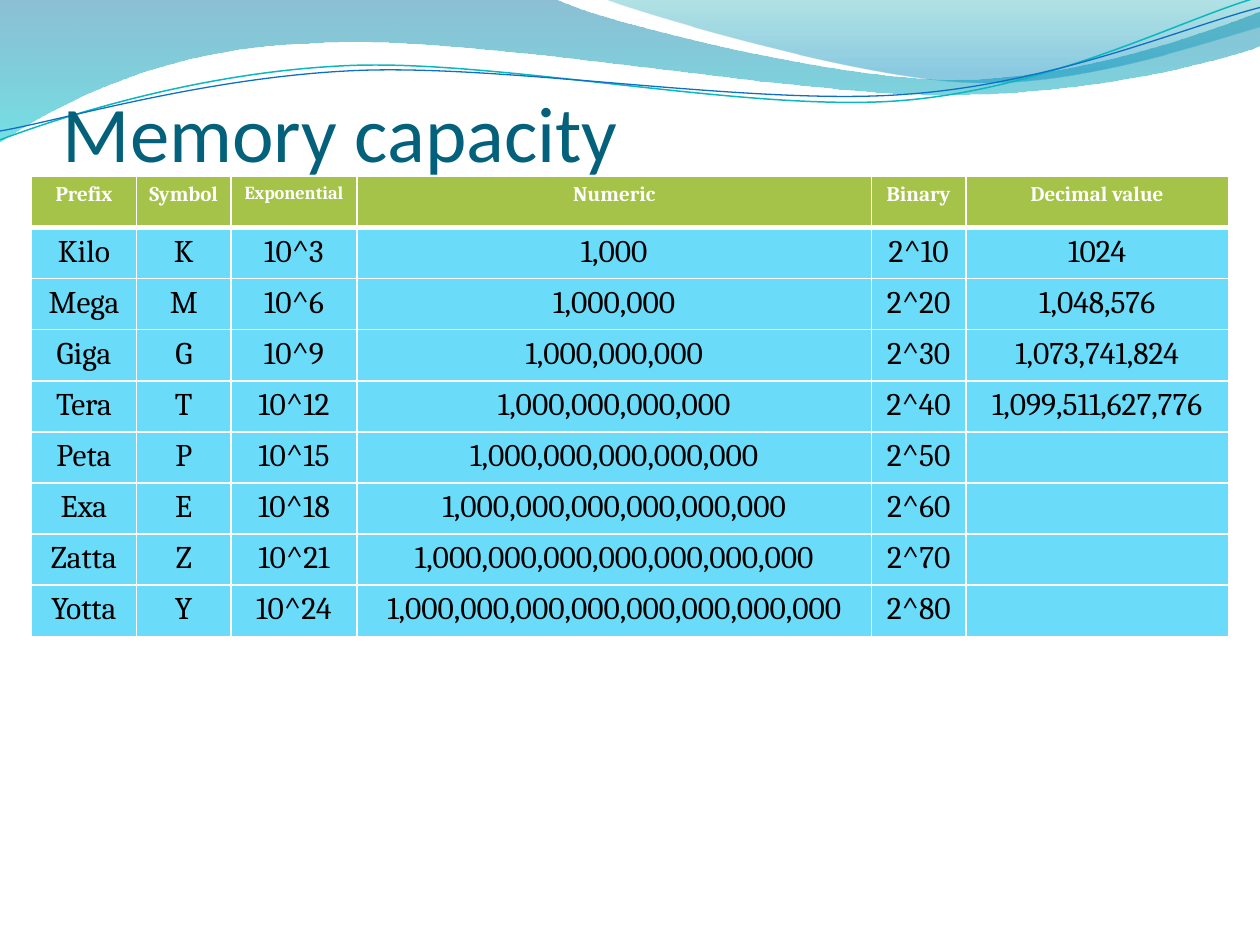
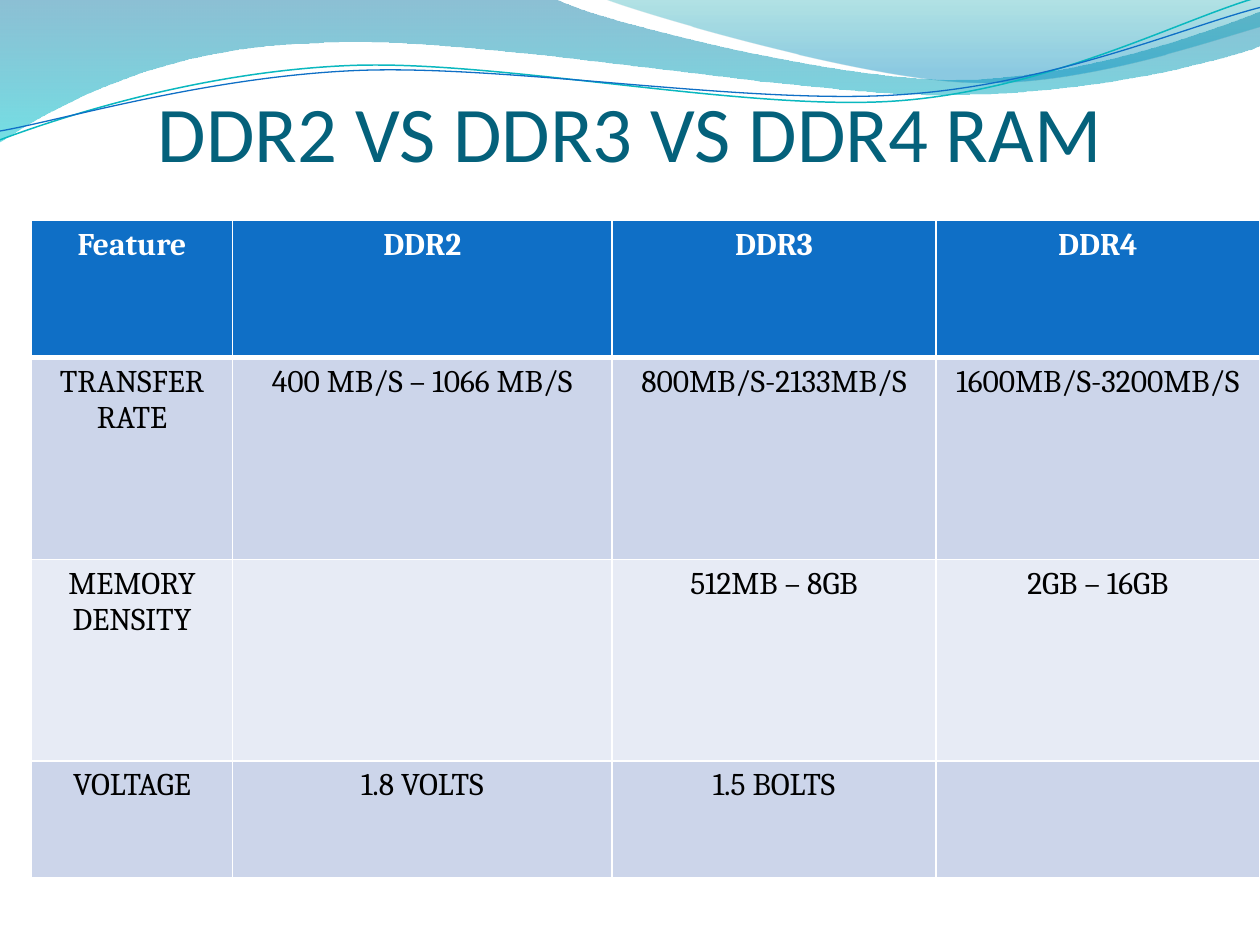
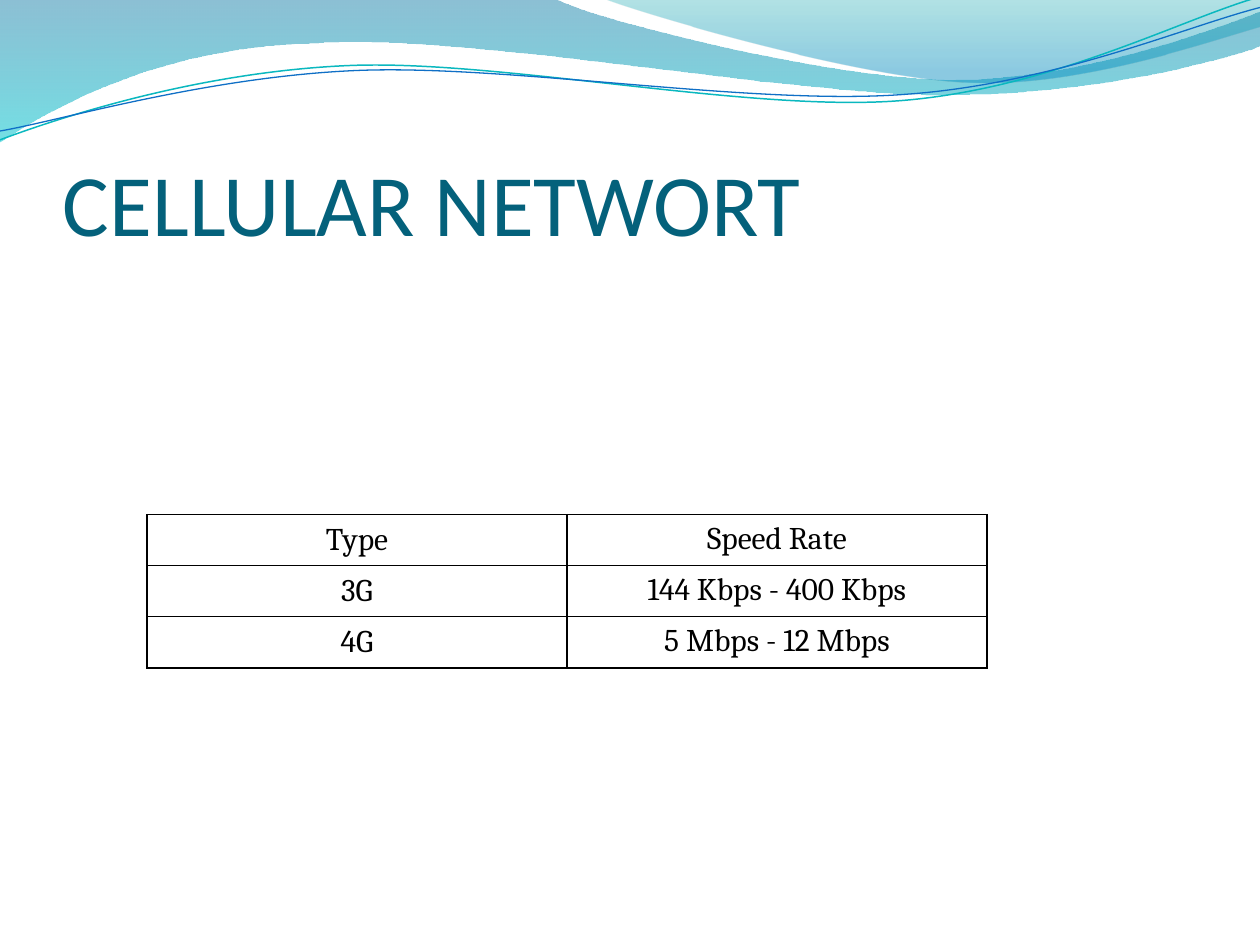
"""Build three slides with wave bands, titles and tables on memory and network speeds."""
from dataclasses import dataclass
from math import cos, radians, sin

from lxml.etree import SubElement
from pptx import Presentation
from pptx.dml.color import RGBColor as Color
from pptx.enum.text import MSO_ANCHOR as Anchor, PP_ALIGN as Align
from pptx.oxml.ns import qn
from pptx.util import Inches, Pt


@dataclass(frozen=True)
class Theme:
    title_font: str = "Calibri"
    body_font: str = "Cambria"
    title_color: str = "04617B"
    white: str = "FFFFFF"
    black: str = "000000"
    blue: str = "0F6FC6"
    teal: str = "0AB8BF"
    green: str = "A5C249"
    sky: str = "6BDBFA"
    band_dark: str = "CCD5EA"
    band_light: str = "E7EBF5"
    title_size: float = 45
    large_title_size: float = 50
    body_size: float = 18
    header_size: float = 12
    small_header_size: float = 10.5
    border: float = 1
    header_border: float = 3


theme = Theme()


def write_text(paragraph, text, alignment, color, **font_formats):
    paragraph.alignment = alignment
    run = paragraph.add_run()
    run.text = text
    for name, value in font_formats.items():
        setattr(run.font, name, value)
    run.font.color.rgb = Color.from_string(color)


def draw_curve(shapes, points, segments, closed):
    builder = shapes.build_freeform(*points[0])
    builder.add_line_segments(points[1:], close=closed)
    shape = builder.convert_to_shape()
    shape.shadow.inherit = False
    line_steps = iter(shape.element.findall(".//" + qn("a:lnTo")))
    for segment in segments:
        steps = [next(line_steps) for _ in segment]
        if len(steps) == 3:
            steps[0].addprevious(curve := steps[0].makeelement(qn("a:cubicBezTo")))
            for step in steps:
                curve.append(step[0])
                step.getparent().remove(step)
    return shape


presentation = Presentation()
presentation.slide_width, presentation.slide_height = Inches(10), Inches(7.5)
column = presentation.slide_width / 120
row = presentation.slide_height / 90
wave_unit = presentation.slide_width / 10
blank_layout = presentation.slide_layouts[6]

wave_bands = [
    {"start": (0, 0),
     "segments": [[(4.4, -0.01)],
                  [(4.76, 0.17), (6.64, 0.63), (7.58, 0.63)],
                  [(8.53, 0.63), (9.58, 0.26), (10, 0.09)],
                  [(10.01, 0.36)],
                  [(9.83, 0.44), (8.7, 0.76), (7.46, 0.75)],
                  [(6.22, 0.75), (3.82, 0.28), (2.57, 0.34)],
                  [(1.29, 0.36), (0.46, 0.83), (-0.01, 1.13)],
                  [(0, 0)]],
     "stops": [(0, "0074A1", 45), (1, "00C6CF", 55)]},
    {"start": (4.79, -0.01),
     "segments": [[(5.09, 0.11), (6.82, 0.62), (7.69, 0.65)],
                  [(8.56, 0.69), (9.61, 0.32), (10, 0.21)],
                  [(10, 0)],
                  [(4.79, -0.01)]],
     "stops": [(0, "00A1A9", 30), (0.8, "008BBF", 45)]},
]
wave_lines = [
    {"start": (0, 1.11), "center": (4.99, 0.58), "color": theme.teal, "width": 0.85,
     "segments": [[(0.48, 0.93), (1.58, 0.57), (2.77, 0.52)],
                  [(3.95, 0.47), (5.93, 0.89), (7.13, 0.8)],
                  [(8.33, 0.71), (9.38, 0.15), (9.98, -0.02)]]},
    {"start": (0, 1.04), "center": (5, 0.59), "color": theme.blue, "width": 0.75,
     "segments": [[(0.47, 0.96), (1.64, 0.61), (2.83, 0.56)],
                  [(4.03, 0.51), (5.97, 0.84), (7.17, 0.75)],
                  [(8.36, 0.67), (9.41, 0.21), (10, 0.06)]]},
]
line_tilt = 2.7

prefixes = ["Kilo", "Mega", "Giga", "Tera", "Peta", "Exa", "Zatta", "Yotta"]
decimal_values = ["1024", "1,048,576", "1,073,741,824", "1,099,511,627,776", "", "", "", ""]
memory_rows = [["Prefix", "Symbol", "Exponential", "Numeric", "Binary", "Decimal value"]]
for power, (prefix, decimal_value) in enumerate(zip(prefixes, decimal_values), start=1):
    memory_rows.append([prefix, prefix[0], f"10^{3 * power}", f"{1000 ** power:,}",
                        f"2^{10 * power}", decimal_value])

pages = [
    {"title": "Memory capacity", "title_size": theme.title_size, "title_rows": 7.8,
     "title_align": Align.LEFT, "corner": (3, 16.8), "table_rows": 44.88,
     "columns": [10, 9, 12, 49, 9, 25], "rows": [4.87] * 9, "cells": memory_rows,
     "header_fill": theme.green, "bands": [theme.sky], "header_size": theme.header_size,
     "border_color": theme.white},
    {"title": "DDR2 VS DDR3 VS DDR4 RAM", "title_size": theme.title_size, "title_rows": 7.8,
     "title_align": Align.CENTER, "corner": (3, 21), "table_rows": 62.52,
     "columns": [19.15, 36.15, 30.85, 30.85], "rows": [13.08, 19.2, 19.2, 11.1],
     "cells": [["Feature", "DDR2", "DDR3", "DDR4"],
               ["TRANSFER RATE", "400 MB/S – 1066 MB/S", "800MB/S-2133MB/S",
                "1600MB/S-3200MB/S"],
               ["MEMORY DENSITY", "", "512MB – 8GB", "2GB – 16GB"],
               ["VOLTAGE", "1.8 VOLTS", "1.5 BOLTS", ""]],
     "header_fill": theme.blue, "bands": [theme.band_dark, theme.band_light],
     "header_size": theme.body_size, "border_color": theme.white},
    {"title": "CELLULAR NETWORT", "title_size": theme.large_title_size, "title_rows": 15,
     "title_align": Align.LEFT, "corner": (14, 49), "table_rows": 14.6,
     "columns": [40, 40], "rows": [4.87] * 3,
     "cells": [["Type", "Speed Rate"],
               ["3G", "144 Kbps - 400 Kbps"],
               ["4G", "5 Mbps - 12 Mbps"]],
     "header_fill": None, "bands": [None], "header_size": theme.body_size,
     "border_color": theme.black},
]

slides = [presentation.slides.add_slide(blank_layout) for page in pages]
master_tree = presentation.slide_master.shapes.element

for band in wave_bands:
    points = [band["start"]] + [point for segment in band["segments"] for point in segment]
    scaled = [(x * wave_unit, y * wave_unit) for x, y in points]
    shape = draw_curve(slides[0].shapes, scaled, band["segments"], True)
    shape.line.fill.background()
    shape.fill.gradient()
    shape.fill.gradient_angle = 270
    for stop, (position, color, _) in zip(shape.fill.gradient_stops, band["stops"]):
        stop.position = position
        stop.color.rgb = Color.from_string(color)
    colors = shape.element.spPr.findall(".//" + qn("a:gs") + "/" + qn("a:srgbClr"))
    for color_element, (_, _, opacity) in zip(colors, band["stops"]):
        SubElement(color_element, qn("a:alpha"), val=str(opacity * 1000))
    master_tree.append(shape.element)

line_group = slides[0].shapes.add_group_shape()
cosine, sine = cos(radians(line_tilt)), sin(radians(line_tilt))
for wave_line in wave_lines:
    points = [wave_line["start"]] + [point for segment in wave_line["segments"] for point in segment]
    center_x, center_y = wave_line["center"]
    offsets = [(x - center_x, y - center_y) for x, y in points]
    level = [((center_x + x * cosine - y * sine) * wave_unit,
              (center_y + x * sine + y * cosine) * wave_unit) for x, y in offsets]
    shape = draw_curve(line_group.shapes, level, wave_line["segments"], False)
    shape.rotation = 360 - line_tilt
    shape.fill.background()
    shape.line.color.rgb = Color.from_string(wave_line["color"])
    shape.line.width = Pt(wave_line["width"])
master_tree.append(line_group.element)

for slide, page in zip(slides, pages):
    title = slide.shapes.add_textbox(int(6 * column), int(9.2 * row),
                                     int(108 * column), int(page["title_rows"] * row))
    title_formats = {"word_wrap": True, "vertical_anchor": Anchor.BOTTOM, "margin_left": 0,
                     "margin_top": Inches(0.05), "margin_right": 0, "margin_bottom": 0}
    for name, value in title_formats.items():
        setattr(title.text_frame, name, value)
    write_text(title.text_frame.paragraphs[0], page["title"], page["title_align"],
               theme.title_color, name=theme.title_font, size=Pt(page["title_size"]))

    left, top = page["corner"]
    frame = slide.shapes.add_table(
        len(page["rows"]), len(page["columns"]), int(left * column), int(top * row),
        int(sum(page["columns"]) * column), int(page["table_rows"] * row))
    table = frame.table
    table.first_row = table.horz_banding = False
    for table_column, width in zip(table.columns, page["columns"]):
        table_column.width = int(width * column)
    for table_row, height in zip(table.rows, page["rows"]):
        table_row.height = int(height * row)
    frame.height = int(page["table_rows"] * row)

    for row_index, texts in enumerate(page["cells"]):
        filled = page["header_fill"] is not None
        is_header = row_index == 0 and filled
        fill = page["header_fill"] if is_header else page["bands"][(row_index - 1) % len(page["bands"])]
        thick_side = {0: "a:lnB", 1: "a:lnT"}.get(row_index) if filled else None
        for column_index, text in enumerate(texts):
            cell = table.cell(row_index, column_index)
            properties = cell._tc.get_or_add_tcPr()
            for side in ("a:lnL", "a:lnR", "a:lnT", "a:lnB"):
                width = theme.header_border if side == thick_side else theme.border
                line = SubElement(properties, qn(side), w=str(Pt(width)))
                line_fill = SubElement(line, qn("a:solidFill"))
                SubElement(line_fill, qn("a:srgbClr"), val=page["border_color"])
            if fill:
                cell.fill.solid()
                cell.fill.fore_color.rgb = Color.from_string(fill)
            else:
                cell.fill.background()
                if column_index == 0:
                    cell.vertical_anchor = Anchor.MIDDLE
            if text:
                size = page["header_size"] if is_header else theme.body_size
                if text == "Exponential":
                    size = theme.small_header_size
                write_text(cell.text_frame.paragraphs[0], text, Align.CENTER,
                           theme.white if is_header else theme.black,
                           name=theme.body_font, size=Pt(size), bold=is_header)

presentation.save("out.pptx")
